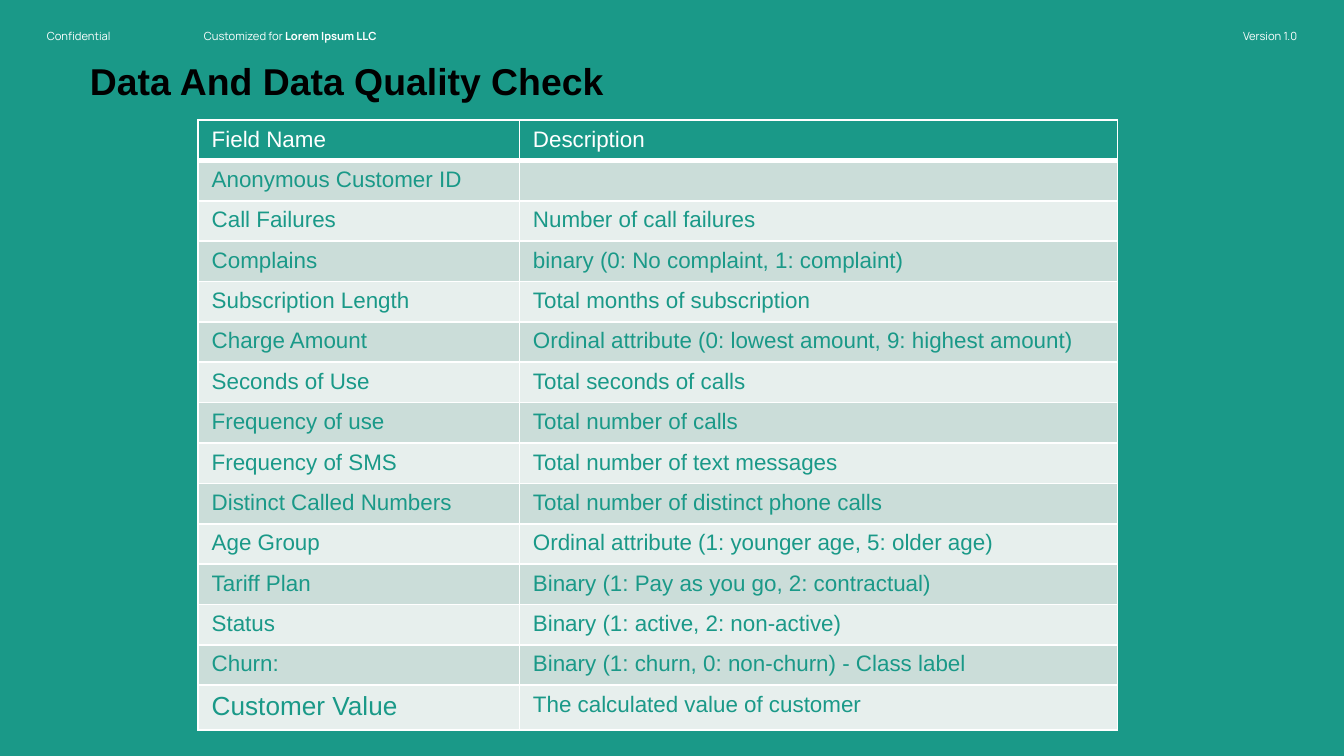
import pptx
import pptx.dml.color
import pptx.enum.text
import pptx.oxml.ns
import pptx.util
import lxml.etree

Pt = pptx.util.Pt
qn = pptx.oxml.ns.qn
SubElement = lxml.etree.SubElement
Align = pptx.enum.text.PP_ALIGN
Anchor = pptx.enum.text.MSO_ANCHOR

COLORS = {
    "teal": "1A9988",
    "white": "FFFFFF",
    "black": "000000",
    "dark_band": "CBDDD9",
    "light_band": "E7EFED",
}


def add_text(paragraph, text, size=12, color="teal", font="Arial", bold=False, align=Align.LEFT):
    paragraph.alignment = align
    run = paragraph.add_run()
    run.text = text
    run.font.size = Pt(size)
    run.font.name = font
    run.font.bold = bold
    run.font.color.rgb = pptx.dml.color.RGBColor.from_string(COLORS[color])


def style_cell(cell, fill, top_width, bottom_width):
    properties = cell._tc.get_or_add_tcPr()
    for tag, width in (("a:lnL", 1), ("a:lnR", 1), ("a:lnT", top_width), ("a:lnB", bottom_width)):
        line = SubElement(properties, qn(tag), w=str(Pt(width)))
        solid = SubElement(line, qn("a:solidFill"))
        SubElement(solid, qn("a:srgbClr"), val=COLORS["white"])
    cell.fill.solid()
    cell.fill.fore_color.rgb = pptx.dml.color.RGBColor.from_string(COLORS[fill])


presentation = pptx.Presentation()
presentation.slide_width = Pt(720)
presentation.slide_height = Pt(405)
slide = presentation.slides.add_slide(presentation.slide_layouts[5])
slide.background.fill.solid()
slide.background.fill.fore_color.rgb = pptx.dml.color.RGBColor.from_string(COLORS["teal"])

header_notes = [
    (18, 78.5, Align.LEFT, [("Confidential", False)]),
    (102.2, 165.6, Align.LEFT, [("Customized for ", False), ("Lorem Ipsum LLC", True)]),
    (646.6, 55.4, Align.RIGHT, [("Version 1.0", False)]),
]
for left, width, align, parts in header_notes:
    shape = slide.shapes.add_textbox(Pt(left), Pt(6.5), Pt(width), Pt(25.2))
    frame = shape.text_frame
    frame.word_wrap = True
    frame.vertical_anchor = Anchor.MIDDLE
    frame.margin_left = frame.margin_right = frame.margin_top = frame.margin_bottom = Pt(7.2)
    for text, bold in parts:
        add_text(frame.paragraphs[0], text, size=6, color="white", font="Manrope", bold=bold, align=align)

title = slide.shapes.title
title.left, title.top, title.width, title.height = Pt(41), Pt(27.4), Pt(329), Pt(31.7)
title.text_frame.word_wrap = True
title.text_frame.vertical_anchor = Anchor.TOP
title.text_frame.auto_size = pptx.enum.text.MSO_AUTO_SIZE.NONE
add_text(title.text_frame.paragraphs[0], "Data And Data Quality Check", size=20, color="black", bold=True)

fields = [
    ("Field Name", "Description"),
    ("Anonymous Customer ID", ""),
    ("Call Failures", "Number of call failures"),
    ("Complains", "binary (0: No complaint, 1: complaint)"),
    ("Subscription Length", "Total months of subscription"),
    ("Charge Amount", "Ordinal attribute (0: lowest amount, 9: highest amount)"),
    ("Seconds of Use", "Total seconds of calls"),
    ("Frequency of use", "Total number of calls"),
    ("Frequency of SMS", "Total number of text messages"),
    ("Distinct Called Numbers", "Total number of distinct phone calls"),
    ("Age Group", "Ordinal attribute (1: younger age, 5: older age)"),
    ("Tariff Plan", "Binary (1: Pay as you go, 2: contractual)"),
    ("Status", "Binary (1: active, 2: non-active)"),
    ("Churn:", "Binary (1: churn, 0: non-churn) - Class label"),
    ("Customer Value", "The calculated value of customer"),
]
table = slide.shapes.add_table(len(fields), 2, Pt(106.2), Pt(64.3), Pt(492.5), Pt(326.4)).table
table.first_row = False
table.horz_banding = False
table.columns[0].width = Pt(172.1)
table.columns[1].width = Pt(320.4)

for row, texts in enumerate(fields):
    table.rows[row].height = Pt(24 if texts[0] == "Customer Value" else 21.6)
    fill = "teal" if row == 0 else "dark_band" if row % 2 else "light_band"
    for column, text in enumerate(texts):
        cell = table.cell(row, column)
        style_cell(cell, fill, 3 if row == 1 else 1, 3 if row == 0 else 1)
        paragraph = cell.text_frame.paragraphs[0]
        if text:
            size = 14 if text == "Customer Value" else 12
            add_text(paragraph, text, size=size, color="white" if row == 0 else "teal")
        else:
            SubElement(paragraph._p, qn("a:endParaRPr"), sz="1200")

presentation.save("out.pptx")
